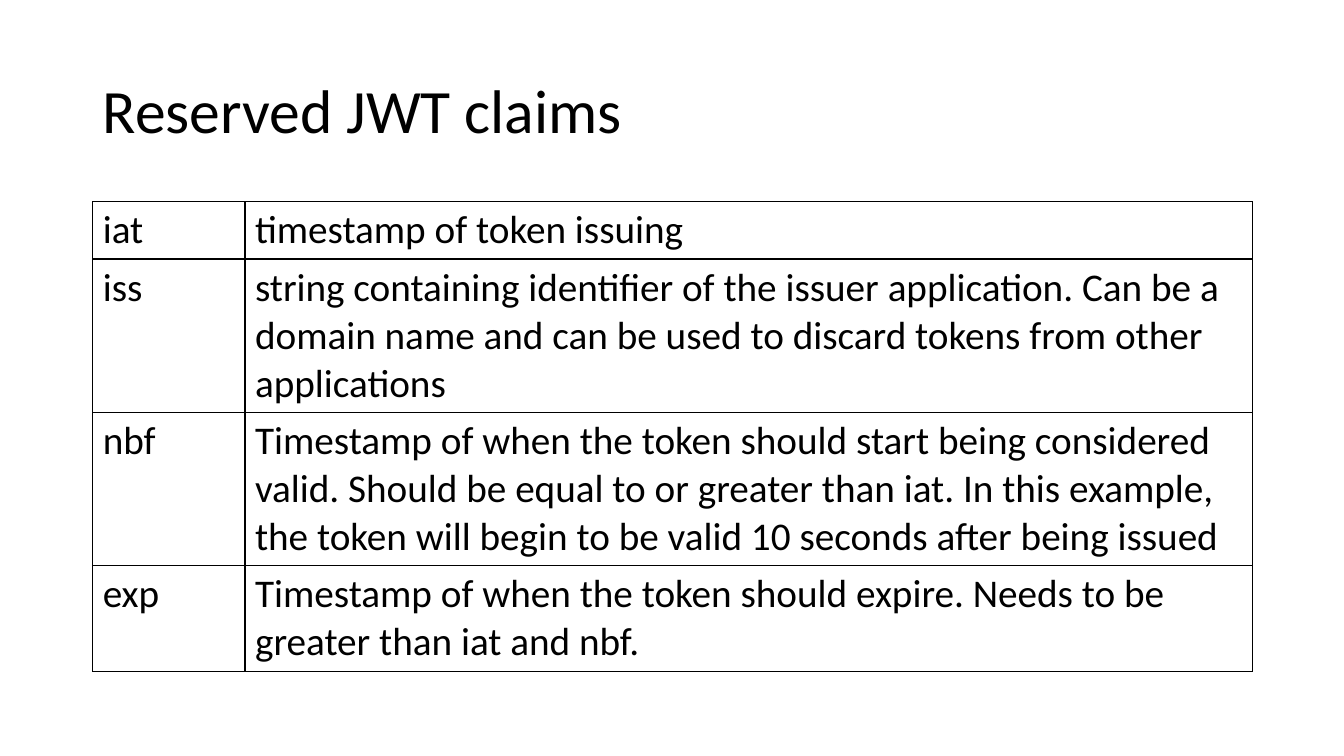
import pptx
import pptx.dml.color
import pptx.enum.text
import pptx.util
from lxml import etree
from pptx.oxml.ns import qn

Inches = pptx.util.Inches
Pt = pptx.util.Pt
BLACK = pptx.dml.color.RGBColor(0x00, 0x00, 0x00)

LEFT, WIDTH = 0.92, 11.5
COLUMN_WIDTHS = [1.51, 9.99]
CLAIMS = [
    (0.57, "iat", "timestamp of token issuing"),
    (1.52, "iss", "string containing identifier of the issuer application. Can be a "
     "domain name and can be used to discard tokens from other applications"),
    (1.52, "nbf", "Timestamp of when the token should start being considered valid. "
     "Should be equal to or greater than iat. In this example, the token will "
     "begin to be valid 10 seconds after being issued"),
    (1.05, "exp", "Timestamp of when the token should expire. Needs to be greater "
     "than iat and nbf."),
]


class Deck:
    """Holds the text style and the current slide."""

    def __init__(self, prs, font="Calibri", color=BLACK):
        self.s = prs.slides.add_slide(prs.slide_layouts[6])
        self.font = font
        self.color = color

    def run(self, p, text, size):
        r = p.add_run()
        r.text = text
        r.font.name = self.font
        r.font.size = Pt(size)
        r.font.color.rgb = self.color

    def title(self, text, left, top, width, height):
        sp = self.s.shapes.add_textbox(Inches(left), Inches(top), Inches(width), Inches(height))
        tf = sp.text_frame
        tf.word_wrap = True
        tf.vertical_anchor = pptx.enum.text.MSO_ANCHOR.MIDDLE
        p = tf.paragraphs[0]
        p.line_spacing = 0.9
        self.run(p, text, 44)

    def borders(self, cell, width=1):
        tcPr = cell._tc.get_or_add_tcPr()
        for side in ("a:lnL", "a:lnR", "a:lnT", "a:lnB"):
            ln = etree.SubElement(tcPr, qn(side), w=str(Pt(width)))
            fill = etree.SubElement(ln, qn("a:solidFill"))
            etree.SubElement(fill, qn("a:srgbClr"), val=str(self.color))

    def table(self, rows, widths, left, top):
        heights = [row[0] for row in rows]
        frame = self.s.shapes.add_table(len(rows), len(widths), Inches(left), Inches(top),
                                        Inches(sum(widths)), Inches(sum(heights)))
        table = frame.table
        table.first_row = False
        table.horz_banding = False
        for column, width in zip(table.columns, widths):
            column.width = Inches(width)
        for row, (height, *texts) in zip(table.rows, rows):
            row.height = Inches(height)
            for cell, text in zip(row.cells, texts):
                self.borders(cell)
                cell.fill.background()
                self.run(cell.text_frame.paragraphs[0], text, 28)


def main():
    prs = pptx.Presentation()
    prs.slide_width = Inches(13.33)
    prs.slide_height = Inches(7.5)
    deck = Deck(prs)
    deck.title("Reserved JWT claims", LEFT, 0.4, WIDTH, 1.45)
    deck.table(CLAIMS, COLUMN_WIDTHS, LEFT, 2)
    prs.save("out.pptx")


if __name__ == "__main__":
    main()
